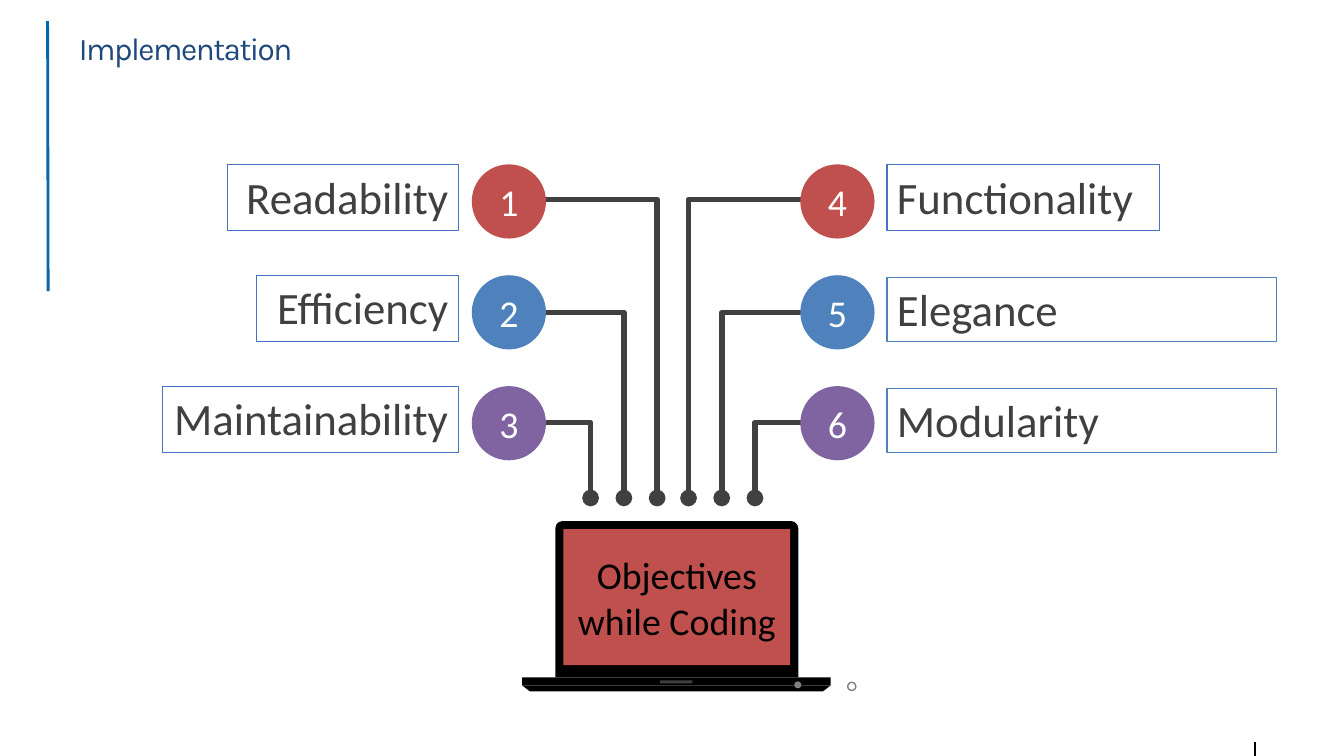
"""Build the slide on the six objectives while coding."""
from pptx import Presentation
from pptx.dml.color import RGBColor
from pptx.enum.shapes import MSO_CONNECTOR as LINK, MSO_SHAPE as FORM
from pptx.enum.text import MSO_ANCHOR as ANCHOR, MSO_AUTO_SIZE as AUTO, PP_ALIGN as ALIGN
from pptx.oxml import parse_xml
from pptx.oxml.ns import nsdecls, qn
from pptx.util import Pt

DARK, BLACK, GREY = "404040", "000000", "808080"
TONES = ["C0504D", "4F81BD", "8064A2"]
TOP, STEP, DISC = 117.4, 79.2, 53
LEFT = [("Readability", 165), ("Efficiency", 144), ("Maintainability", 211)]
RIGHT = [("Functionality", 194.4, 117.4, 47.5, "4472C4"),
         ("Elegance", 278.6, 198, 46, "4F81BD"),
         ("Modularity", 278.6, 277.2, 46, "4F81BD")]
BENDS = [142.4, 223.2, 301.8]
FOOT, GAP = 355.7, 23.75


def tint(code):
    return RGBColor.from_string(code)


def shape(slide, form, x, y, w, h, fill=None, line=None, width=0.75):
    item = slide.shapes.add_shape(form, Pt(x), Pt(y), Pt(w), Pt(h))
    item.shadow.inherit = False
    if fill:
        item.fill.solid()
        item.fill.fore_color.rgb = tint(fill)
    else:
        item.fill.background()
    if line:
        item.line.color.rgb = tint(line)
        item.line.width = Pt(width)
    else:
        item.line.fill.background()
    return item


def write(item, text, size, color, align=ALIGN.CENTER, anchor=ANCHOR.MIDDLE, face="Calibri"):
    frame = item.text_frame
    frame.word_wrap = True
    frame.vertical_anchor = anchor
    para = frame.paragraphs[0]
    para.text = text
    para.alignment = align
    para.font.size = Pt(size)
    para.font.name = face
    para.font.color.rgb = tint(color)
    return frame


def link(slide, kind, x1, y1, x2, y2, color, width):
    item = slide.shapes.add_connector(kind, Pt(x1), Pt(y1), Pt(x2), Pt(y2))
    item.line.color.rgb = tint(color)
    item.line.width = Pt(width)
    item._element.spPr.append(parse_xml(f"<a:effectLst {nsdecls('a')}/>"))
    return item


def wire(slide, x, y, foot):
    item = link(slide, LINK.ELBOW, x, y, foot, FOOT, DARK, 4)
    guides = item._element.spPr.find(qn("a:prstGeom")).get_or_add_avLst()
    guides.append(parse_xml(f'<a:gd {nsdecls("a")} name="adj1" fmla="val 100000"/>'))
    for end in ("headEnd", "tailEnd"):
        item.line._get_or_add_ln().append(parse_xml(f'<a:{end} {nsdecls("a")} type="oval"/>'))


def disc(slide, x, row, number):
    item = shape(slide, FORM.OVAL, x, TOP + row * STEP, DISC, DISC, TONES[row])
    write(item, str(number), 27, "FFFFFF")


def label(slide, text, x, y, w, h, line, align):
    item = shape(slide, FORM.RECTANGLE, x, y, w, h, None, line)
    write(item, text, 32, DARK, align, ANCHOR.TOP)


def laptop(slide):
    lid = shape(slide, FORM.ROUND_2_SAME_RECTANGLE, 396.7, 372.2, 173.5, 111.6, BLACK)
    lid.adjustments[0] = 0.045
    screen = shape(slide, FORM.RECTANGLE, 402.5, 378, 162, 97.2, TONES[0])
    write(screen, "Objectives while Coding", 27, BLACK)
    shape(slide, FORM.RECTANGLE, 373, 483.8, 220.3, 5.8, BLACK)
    base = shape(slide, FORM.TRAPEZOID, 373, 489.6, 220.3, 4.3, BLACK)
    base.rotation = 180
    base.adjustments[0] = 1.3
    shape(slide, FORM.RECTANGLE, 471.6, 486, 23, 2.2, DARK)
    shape(slide, FORM.OVAL, 567.4, 486.7, 5, 5, GREY)
    shape(slide, FORM.OVAL, 605.5, 487.4, 5.8, 5.8, None, GREY, 1)


def head(slide):
    title = slide.shapes.title
    title.left, title.top, title.width, title.height = Pt(55.4), Pt(18.7), Pt(180), Pt(28)
    frame = write(title, "Implementation", 22.5, "1F487C", ALIGN.LEFT, ANCHOR.TOP, "Karla")
    frame.auto_size = AUTO.SHAPE_TO_FIT_TEXT
    frame.margin_left = Pt(1)
    frame.margin_top = Pt(2)
    frame.margin_right = frame.margin_bottom = 0
    frame.paragraphs[0].runs[0]._r.get_or_add_rPr().set("spc", "-110")


def main():
    deck = Presentation()
    deck.slide_width, deck.slide_height = Pt(960), Pt(540)
    slide = deck.slides.add_slide(deck.slide_layouts[5])
    head(slide)
    link(slide, LINK.STRAIGHT, 896.4, 530, 896.4, 540, BLACK, 1.12)
    link(slide, LINK.STRAIGHT, 34, 15.1, 34.4, 208, "0466AC", 2)
    for row, bend in enumerate(BENDS):
        wire(slide, 380, bend, 469.4 - row * GAP)
        wire(slide, 581, bend, 491.8 + row * GAP)
    laptop(slide)
    for row, (text, w) in enumerate(LEFT):
        disc(slide, 337, row, row + 1)
        label(slide, text, 327.4 - w, TOP + row * STEP, w, 47.5, "4472C4", ALIGN.RIGHT)
    for row, (text, w, y, h, line) in enumerate(RIGHT):
        disc(slide, 571.7, row, row + 4)
        label(slide, text, 633.6, y, w, h, line, ALIGN.LEFT)
    deck.save("out.pptx")


if __name__ == "__main__":
    main()
